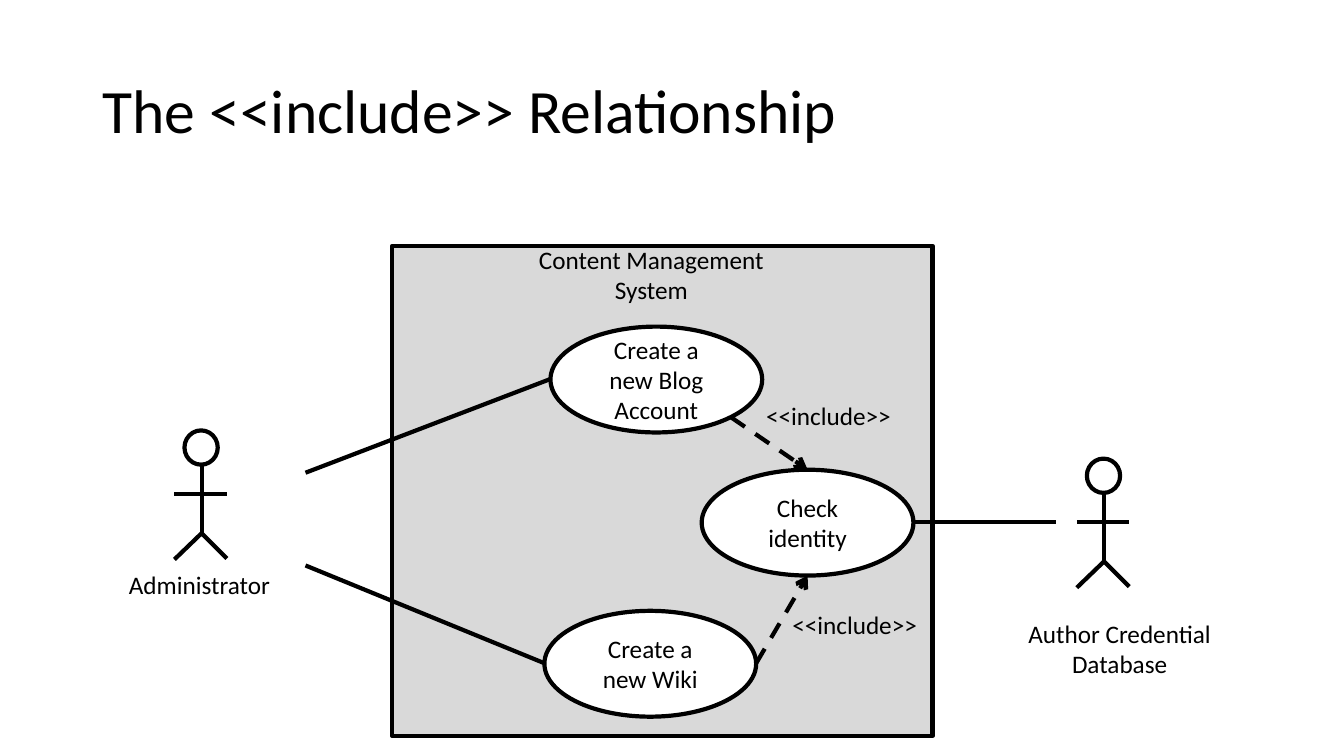
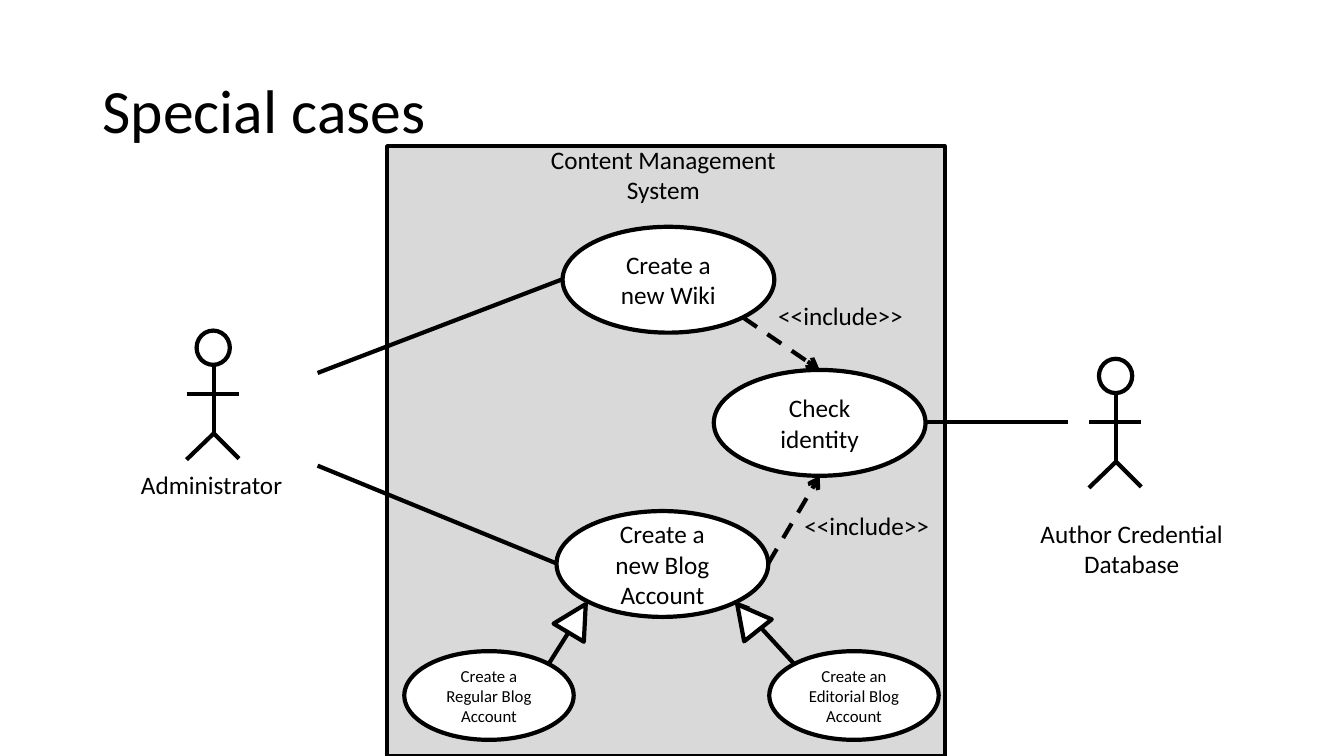
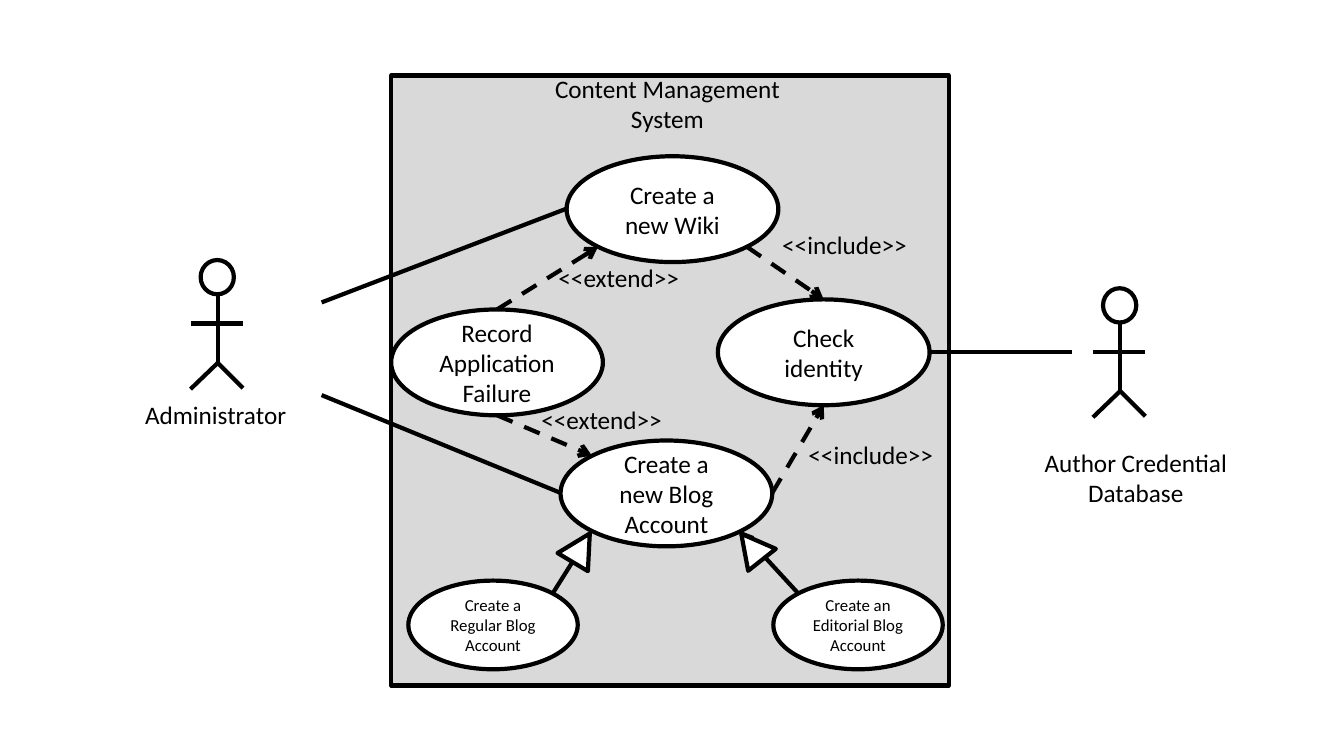
import dataclasses
import math
import typing

import lxml.etree
import pptx
import pptx.dml.color
import pptx.enum.dml
import pptx.enum.shapes
import pptx.enum.text
import pptx.oxml.ns
import pptx.util

EMU_PER_PX = 9144
COLOURS = {"ink": "000000", "paper": "FFFFFF", "system": "D9D9D9"}
SHAPES = pptx.enum.shapes.MSO_SHAPE
ALIGN = pptx.enum.text.PP_ALIGN
ANCHOR = pptx.enum.text.MSO_ANCHOR
FIT = pptx.enum.text.MSO_AUTO_SIZE
DASH = pptx.enum.dml.MSO_LINE.DASH

TITLE_BOX = (92, 40, 1150, 145)
TITLE_FRAME = {"word_wrap": True, "vertical_anchor": ANCHOR.MIDDLE}
TITLE_PARA = {"line_spacing": 0.9}
LABEL_FRAME = {"word_wrap": False, "auto_size": FIT.SHAPE_TO_FIT_TEXT}
CASE_FRAME = {"word_wrap": True, "vertical_anchor": ANCHOR.MIDDLE}
CENTRED = {"alignment": ALIGN.CENTER}

DIAGONAL = math.sqrt(0.5)
SITES = {
    "top": (0, -1),
    "bottom": (0, 1),
    "left": (-1, 0),
    "right": (1, 0),
    "top left": (-DIAGONAL, -DIAGONAL),
    "top right": (DIAGONAL, -DIAGONAL),
    "bottom left": (-DIAGONAL, DIAGONAL),
    "bottom right": (DIAGONAL, DIAGONAL),
}

CASE_SIZE = (210, 105)
SPECIAL_SIZE = (168, 88)
UPPER_CASE = (546, 324, *CASE_SIZE)
LOWER_CASE = (540, 606, *CASE_SIZE)
IDENTITY_CASE = (696, 466, *CASE_SIZE)
FAILURE_CASE = (372, 476, *CASE_SIZE)
REGULAR_CASE = (389, 745, *SPECIAL_SIZE)
EDITORIAL_CASE = (751, 745, *SPECIAL_SIZE)
SMALL_SYSTEM = (389, 244, 536, 486)
LARGE_SYSTEM = (372, 244, 553, 605)

WIKI = "Create a new Wiki"
BLOG = "Create a new Blog Account"

ACTOR_LIMBS = [
    ((17, 34), (17, 102)),
    ((-10, 63), (42, 63)),
    ((17, 102), (-10, 128)),
    ((17, 102), (42, 127)),
]


@dataclasses.dataclass
class Canvas:
    shapes: typing.Any
    left: int = 0
    top: int = 0

    def point(self, x, y):
        return px(self.left + x), px(self.top + y)

    def box(self, x, y, width, height):
        return (*self.point(x, y), px(width), px(height))


def px(length):
    return pptx.util.Emu(length * EMU_PER_PX)


def colour(name):
    return pptx.dml.color.RGBColor.from_string(COLOURS[name])


def apply_format(target, values):
    for name, value in values.items():
        setattr(target, name, value)


def ellipse_point(box, site):
    x, y, width, height = box
    across, down = SITES[site]
    return round(x + width * (1 + across) / 2), round(y + height * (1 + down) / 2)


def write_text(shape, lines, size, frame_format, para_format):
    frame = shape.text_frame
    apply_format(frame, frame_format)
    for index, line in enumerate(lines):
        para = frame.paragraphs[0] if index == 0 else frame.add_paragraph()
        apply_format(para, para_format)
        span = para.add_run()
        span.text = line
        apply_format(span.font, {"name": "Calibri", "size": pptx.util.Pt(size)})
        span.font.color.rgb = colour("ink")


def add_outlined(canvas, kind, box, fill="paper", rotation=0):
    shape = canvas.shapes.add_shape(kind, *canvas.box(*box))
    shape.shadow.inherit = False
    shape.rotation = rotation
    shape.fill.solid()
    shape.fill.fore_color.rgb = colour(fill)
    shape.line.color.rgb = colour("ink")
    shape.line.width = pptx.util.Pt(3)
    return shape


def add_case(canvas, box, text, size=18):
    oval = add_outlined(canvas, SHAPES.OVAL, box)
    write_text(oval, [text], size, CASE_FRAME, CENTRED)


def add_label(canvas, box, *lines):
    label = canvas.shapes.add_textbox(*canvas.box(*box))
    write_text(label, lines, 18, LABEL_FRAME, CENTRED if len(lines) > 1 else {})


def add_line(canvas, start, end, dash=None, head=None):
    line = canvas.shapes.add_connector(
        pptx.enum.shapes.MSO_CONNECTOR.STRAIGHT, *canvas.point(*start), *canvas.point(*end)
    )
    line.line.color.rgb = colour("ink")
    apply_format(line.line, {"width": pptx.util.Pt(3), "dash_style": dash})
    qn = pptx.oxml.ns.qn
    properties = line.element.spPr
    if head:
        lxml.etree.SubElement(properties.find(qn("a:ln")), qn("a:tailEnd"), type=head)
    lxml.etree.SubElement(properties, qn("a:effectLst"))


def add_dependency(canvas, start, end, label_box, label):
    add_line(canvas, start, end, DASH, "arrow")
    add_label(canvas, label_box, label)


def add_actor(canvas, x, y):
    group = canvas.shapes.add_group_shape()
    figure = Canvas(group.shapes, canvas.left + x, canvas.top + y)
    add_outlined(figure, SHAPES.OVAL, (0, 0, 33, 34))
    for start, end in ACTOR_LIMBS:
        add_line(figure, start, end)


def add_title(slide, text):
    title = slide.shapes.add_textbox(*Canvas(slide.shapes).box(*TITLE_BOX))
    write_text(title, [text], 44, TITLE_FRAME, TITLE_PARA)


def add_system(canvas, system_box, upper, lower):
    add_outlined(canvas, SHAPES.RECTANGLE, system_box, "system")
    add_label(canvas, (523, 237, 246, 71), "Content Management", "System")
    add_actor(canvas, 183, 427)
    add_label(canvas, (118, 560, 161, 40), "Administrator")
    add_actor(canvas, 1078, 455)
    add_label(canvas, (1009, 608, 203, 71), "Author Credential", "Database")
    add_case(canvas, UPPER_CASE, upper)
    add_case(canvas, LOWER_CASE, lower)
    add_case(canvas, IDENTITY_CASE, "Check identity")
    add_line(canvas, (303, 469), ellipse_point(UPPER_CASE, "left"))
    add_line(canvas, (303, 561), ellipse_point(LOWER_CASE, "left"))
    add_line(canvas, ellipse_point(IDENTITY_CASE, "right"), (1047, 518))
    for case, start, end, label_box in [
        (UPPER_CASE, "bottom right", "top", (750, 392, 146, 40)),
        (LOWER_CASE, "right", "bottom", (776, 600, 146, 40)),
    ]:
        add_dependency(canvas, ellipse_point(case, start),
                       ellipse_point(IDENTITY_CASE, end), label_box, "<<include>>")


def add_special_cases(canvas):
    for case, text, start, end, triangle, rotation in [
        (REGULAR_CASE, "Create a Regular Blog Account",
         "top right", "bottom left", (543, 696, 35, 33), 30.9),
        (EDITORIAL_CASE, "Create an Editorial Blog Account",
         "top left", "bottom right", (712, 695, 35, 33), 321.5),
    ]:
        add_case(canvas, case, text, 12)
        add_line(canvas, ellipse_point(case, start),
                 ellipse_point(LOWER_CASE, end), head="triangle")
        add_outlined(canvas, SHAPES.ISOSCELES_TRIANGLE, triangle, rotation=rotation)


def add_failure_case(canvas):
    add_case(canvas, FAILURE_CASE, "Record Application Failure")
    for start, case, end, label_box in [
        ("top", UPPER_CASE, "bottom left", (528, 424, 141, 40)),
        ("bottom", LOWER_CASE, "top left", (511, 565, 141, 40)),
    ]:
        add_dependency(canvas, ellipse_point(FAILURE_CASE, start),
                       ellipse_point(case, end), label_box, "<<extend>>")


def main():
    deck = pptx.Presentation()
    apply_format(deck, {"slide_width": px(1333), "slide_height": px(750)})
    pages = [deck.slides.add_slide(deck.slide_layouts[6]) for _ in range(3)]
    include, special, extend = pages

    add_title(include, "The <<include>> Relationship")
    add_system(Canvas(include.shapes), SMALL_SYSTEM, BLOG, WIKI)

    add_title(special, "Special cases")
    canvas = Canvas(special.shapes, 12, -99)
    add_system(canvas, LARGE_SYSTEM, WIKI, BLOG)
    add_special_cases(canvas)

    canvas = Canvas(extend.shapes, 16, -169)
    add_system(canvas, LARGE_SYSTEM, WIKI, BLOG)
    add_special_cases(canvas)
    add_failure_case(canvas)

    deck.save("out.pptx")


if __name__ == "__main__":
    main()
